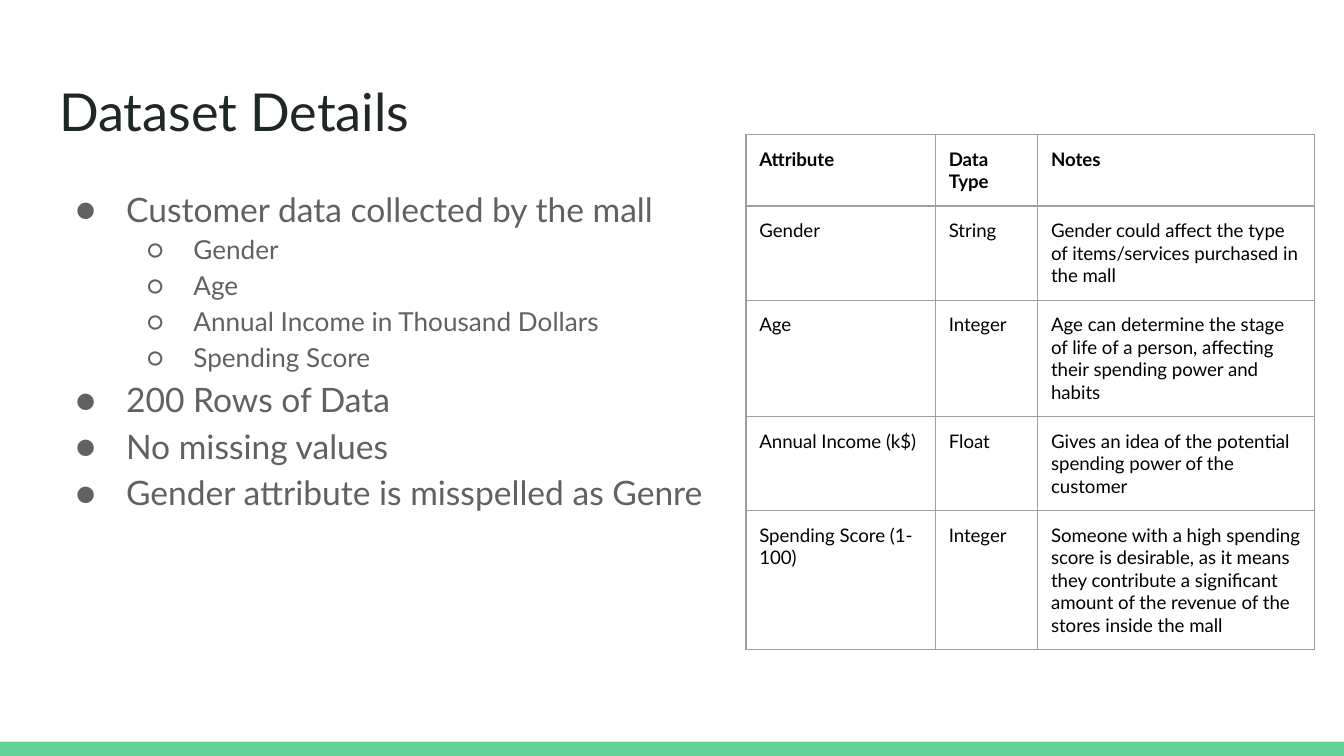
from dataclasses import dataclass

from lxml import etree
from pptx import Presentation
from pptx.dml.color import RGBColor
from pptx.enum.shapes import MSO_SHAPE
from pptx.enum.text import MSO_ANCHOR, MSO_AUTO_SIZE, PP_ALIGN
from pptx.oxml.ns import qn
from pptx.util import Pt

RECTANGLE = MSO_SHAPE.RECTANGLE
TOP = MSO_ANCHOR.TOP
LEFT = PP_ALIGN.LEFT
NO_AUTOFIT = MSO_AUTO_SIZE.NONE
TITLE_ONLY = 5
SLIDE_WIDTH, SLIDE_HEIGHT = 720, 405


@dataclass(frozen=True)
class Theme:
    font: str = "Lato"
    background: str = "FFFFFF"
    accent: str = "63D297"
    title: str = "202729"
    body: str = "616161"
    table_text: str = "000000"
    border: str = "9E9E9E"
    title_size: int = 28
    body_sizes: tuple = (18, 14)
    table_size: int = 10
    border_width: float = 0.75
    inset: float = 7.2
    line_spacing: float = 1.15
    bullets: tuple = ("●", "○")
    indents: tuple = ((36, 27), (72, 25))  # text start and hanging width by level


class SlideBuilder:
    def __init__(self, slide, theme):
        self.slide = slide
        self.theme = theme
        fill = slide.background.fill
        fill.solid()
        fill.fore_color.rgb = RGBColor.from_string(theme.background)

    def add_run(self, paragraph, text, size, color, bold=False):
        run = paragraph.add_run()
        run.text = text
        run.font.name = self.theme.font
        run.font.size = Pt(size)
        run.font.bold = bold
        run.font.color.rgb = RGBColor.from_string(color)

    def set_insets(self, target):
        """Apply equal margins to a text frame or a table cell."""
        for side in ("left", "top", "right", "bottom"):
            setattr(target, f"margin_{side}", Pt(self.theme.inset))
        target.vertical_anchor = TOP

    def prepare_frame(self, shape):
        frame = shape.text_frame
        frame.word_wrap = True
        frame.auto_size = NO_AUTOFIT
        self.set_insets(frame)
        return frame

    def bar(self, left, top, width, height):
        shape = self.slide.shapes.add_shape(
            RECTANGLE, Pt(left), Pt(top), Pt(width), Pt(height))
        shape.shadow.inherit = False
        shape.fill.solid()
        shape.fill.fore_color.rgb = RGBColor.from_string(self.theme.accent)
        shape.line.fill.background()

    def title(self, text, left, top, width, height):
        shape = self.slide.shapes.title
        shape.left, shape.top = Pt(left), Pt(top)
        shape.width, shape.height = Pt(width), Pt(height)
        paragraph = self.prepare_frame(shape).paragraphs[0]
        paragraph.alignment = LEFT
        self.add_run(paragraph, text, self.theme.title_size, self.theme.title)

    def set_bullet(self, paragraph, level):
        start, hanging = self.theme.indents[level]
        properties = paragraph._p.get_or_add_pPr()
        properties.set("marL", str(Pt(start)))
        properties.set("indent", str(-Pt(hanging)))
        color = etree.SubElement(properties, qn("a:buClr"))
        etree.SubElement(color, qn("a:srgbClr"), val=self.theme.body)
        etree.SubElement(properties, qn("a:buFont"), typeface=self.theme.font)
        etree.SubElement(properties, qn("a:buChar"), char=self.theme.bullets[level])

    def bullet_list(self, items, left, top, width, height):
        """Add a list of (level, text) items."""
        shape = self.slide.shapes.add_textbox(
            Pt(left), Pt(top), Pt(width), Pt(height))
        frame = self.prepare_frame(shape)
        for index, (level, text) in enumerate(items):
            paragraph = frame.add_paragraph() if index else frame.paragraphs[0]
            paragraph.level = level
            paragraph.line_spacing = self.theme.line_spacing
            self.set_bullet(paragraph, level)
            self.add_run(paragraph, text, self.theme.body_sizes[level], self.theme.body)

    def set_borders(self, cell):
        """Insert the four borders ahead of the fill, as the schema requires."""
        properties = cell._tc.get_or_add_tcPr()
        for index, side in enumerate(("lnL", "lnR", "lnT", "lnB")):
            line = etree.Element(
                qn(f"a:{side}"), w=str(Pt(self.theme.border_width)))
            fill = etree.SubElement(line, qn("a:solidFill"))
            etree.SubElement(fill, qn("a:srgbClr"), val=self.theme.border)
            properties.insert(index, line)

    def table(self, rows, left, top, column_widths, row_heights):
        table = self.slide.shapes.add_table(
            len(rows), len(column_widths), Pt(left), Pt(top),
            Pt(sum(column_widths)), Pt(sum(row_heights))).table
        table.horz_banding = False
        for column, width in zip(table.columns, column_widths):
            column.width = Pt(width)
        for row, height in zip(table.rows, row_heights):
            row.height = Pt(height)
        for row_index, texts in enumerate(rows):
            for column_index, text in enumerate(texts):
                cell = table.cell(row_index, column_index)
                cell.fill.background()
                self.set_insets(cell)
                self.set_borders(cell)
                self.add_run(cell.text_frame.paragraphs[0], text,
                             self.theme.table_size, self.theme.table_text,
                             bold=row_index == 0)


BULLETS = [
    (0, "Customer data collected by the mall"),
    (1, "Gender"),
    (1, "Age"),
    (1, "Annual Income in Thousand Dollars"),
    (1, "Spending Score"),
    (0, "200 Rows of Data"),
    (0, "No missing values"),
    (0, "Gender attribute is misspelled as Genre"),
]
ATTRIBUTES = [
    ("Attribute", "Data Type", "Notes"),
    ("Gender", "String",
     "Gender could affect the type of items/services purchased in the mall"),
    ("Age", "Integer",
     "Age can determine the stage of life of a person, affecting their "
     "spending power and habits"),
    ("Annual Income (k$)", "Float",
     "Gives an idea of the potential spending power of the customer"),
    ("Spending Score (1-100)", "Integer",
     "Someone with a high spending score is desirable, as it means they "
     "contribute a significant amount of the revenue of the stores inside the mall"),
]


def main():
    presentation = Presentation()
    presentation.slide_width = Pt(SLIDE_WIDTH)
    presentation.slide_height = Pt(SLIDE_HEIGHT)
    slide = presentation.slides.add_slide(presentation.slide_layouts[TITLE_ONLY])
    builder = SlideBuilder(slide, Theme())
    builder.bar(0, 397.4, SLIDE_WIDTH, 7.6)
    builder.title("Dataset Details", 24.5, 35, 671, 45.4)
    builder.bullet_list(BULLETS, 24.5, 90.7, 671, 269.3)
    builder.table(ATTRIBUTES, 399.6, 72, (101.5, 54.8, 148.3),
                  (38.4, 50.4, 62.1, 50.4, 74.5))
    presentation.save("out.pptx")


if __name__ == "__main__":
    main()
